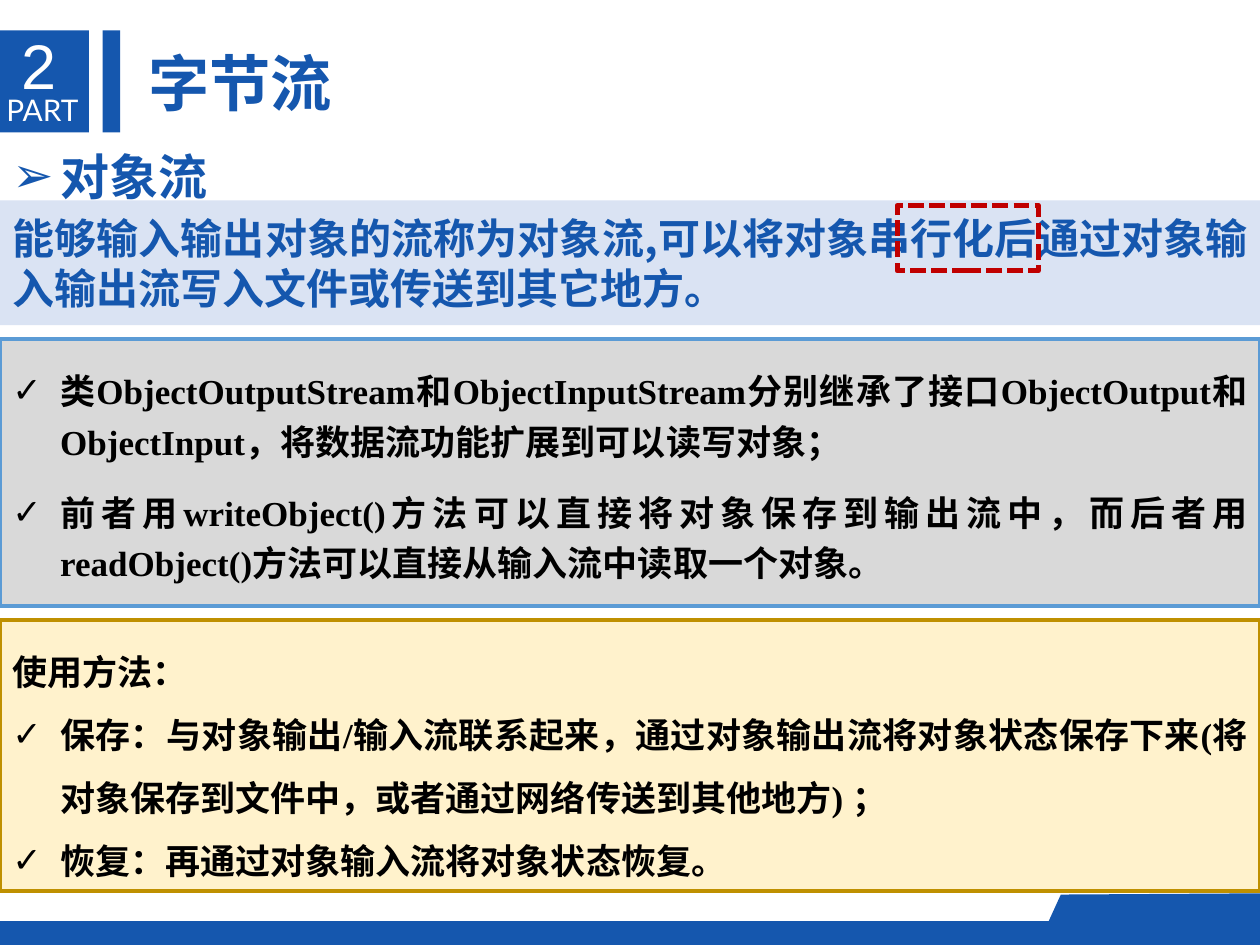
from lxml.etree import SubElement
from pptx import Presentation
from pptx.dml.color import RGBColor
from pptx.enum.dml import MSO_LINE
from pptx.enum.shapes import MSO_SHAPE as Preset
from pptx.enum.text import MSO_ANCHOR, MSO_AUTO_SIZE, PP_ALIGN
from pptx.oxml.ns import qn
from pptx.util import Inches, Pt

BLUE = RGBColor(0x15, 0x57, 0xAE)
WHITE = RGBColor(0xFF, 0xFF, 0xFF)
BLACK = RGBColor(0, 0, 0)
PALE_BLUE = RGBColor(0xDA, 0xE3, 0xF3)
GREY = RGBColor(0xD9, 0xD9, 0xD9)
SKY = RGBColor(0x5B, 0x9B, 0xD5)
CREAM = RGBColor(0xFF, 0xF2, 0xCC)
GOLD = RGBColor(0xBF, 0x90, 0x00)
RED = RGBColor(0xC0, 0, 0)

COLUMNS, ROWS = 100, 75
CELL = Inches(0.1)
HAN, SERIF = "Noto Sans CJK SC", "Times New Roman"


def cells(*counts):
    """Turn grid cell counts into lengths."""
    return [round(count * CELL) for count in counts]


def within(box, left, top, width, height):
    """Place a part by cells from the top left of its region."""
    return box[0] + left, box[1] + top, width, height


def add_panel(slide, box, fill=None, edge=None, weight=2.25, preset=Preset.RECTANGLE):
    """Draw a flat panel with an optional fill and outline."""
    panel = slide.shapes.add_shape(preset, *cells(*box))
    panel.shadow.inherit = False
    if preset == Preset.ROUNDED_RECTANGLE:
        panel.adjustments[0] = 0
    if fill is None:
        panel.fill.background()
    else:
        panel.fill.solid()
        panel.fill.fore_color.rgb = fill
    if edge is None:
        panel.line.fill.background()
    else:
        panel.line.color.rgb = edge
        panel.line.width = Pt(weight)
    return panel


def style(paragraph, size, color, latin=HAN, bold=True, spacing=None, bullet=None):
    """Format one paragraph, with a hanging bullet if one is given."""
    properties = paragraph._p.get_or_add_pPr()
    if spacing:
        paragraph.line_spacing = spacing
    if bullet:
        properties.set("marL", str(Inches(0.38)))
        properties.set("indent", str(-Inches(0.38)))
        SubElement(properties, qn("a:buFont"), typeface="Arial")
        SubElement(properties, qn("a:buChar"), char=bullet)
    for run in paragraph.runs:
        run.font.size = Pt(size)
        run.font.bold = bold
        run.font.color.rgb = color
        run.font.name = latin
        SubElement(run._r.get_or_add_rPr(), qn("a:ea"), typeface=HAN)


def add_label(slide, box, text, size, color, wrap=False, inset=None, **look):
    """Place a single line of text."""
    frame = slide.shapes.add_textbox(*cells(*box)).text_frame
    frame.word_wrap = wrap
    frame.auto_size = MSO_AUTO_SIZE.SHAPE_TO_FIT_TEXT
    if inset is not None:
        frame.margin_left = frame.margin_right = inset
        frame.margin_top = frame.margin_bottom = inset
    frame.text = text
    style(frame.paragraphs[0], size, color, **look)


def fill_panel(panel, texts):
    """Write justified paragraphs, centred vertically, and return them."""
    frame = panel.text_frame
    frame.word_wrap = True
    frame.vertical_anchor = MSO_ANCHOR.MIDDLE
    frame.text = "\n".join(texts)
    for paragraph in frame.paragraphs:
        paragraph.alignment = PP_ALIGN.JUSTIFY
    return frame.paragraphs


def add_header(slide, box, number, title):
    """Build the part badge, its side bar and the title."""
    height = box[3]
    add_panel(slide, within(box, 0, 0, 7.05, height), BLUE)
    add_panel(slide, within(box, 8.15, 0, 1.4, height), BLUE)
    add_label(slide, within(box, 0.5, 4.9, 6, 2.9), "PART", 17, WHITE,
              inset=0, latin="Lato", bold=False)
    add_label(slide, within(box, 0.7, -0.8, 5.3, 7.1), number, 36, WHITE,
              latin="Arial", bold=False)
    add_label(slide, within(box, 10.8, 0.7, 16.7, 6.9), title, 35, BLUE)


def add_footer(slide, box):
    """Build the bottom band and its slanted tab."""
    left, top, width, height = box
    right = left + width
    add_panel(slide, within(box, 0, 2.2, width, height - 2.2), BLUE)
    outline = slide.shapes.build_freeform(*cells(right, top), scale=1.0)
    corners = [(right - 15.8, top + 0.1), (right - 17.4, top + 3.6), (right, top + 3.6)]
    outline.add_line_segments([cells(*corner) for corner in corners], close=True)
    tab = outline.convert_to_shape()
    tab.shadow.inherit = False
    tab.fill.solid()
    tab.fill.fore_color.rgb = BLUE
    tab.line.fill.background()


def add_definition(slide, box, text):
    """Build the definition band."""
    for paragraph in fill_panel(add_panel(slide, box, PALE_BLUE), [text]):
        style(paragraph, 24, BLUE)


def add_term_frame(slide, box):
    """Frame the key term with dashes."""
    frame = add_panel(slide, box, edge=RED, weight=3)
    frame.line.dash_style = MSO_LINE.SQUARE_DOT


def add_classes(slide, box, points):
    """Build the panel on the two stream classes."""
    panel = add_panel(slide, box, GREY, SKY, preset=Preset.ROUNDED_RECTANGLE)
    for index, paragraph in enumerate(fill_panel(panel, points)):
        if index:
            paragraph.space_before = Pt(12)
        style(paragraph, 20, BLACK, SERIF, spacing=1.2, bullet="✓")


def add_usage(slide, box, heading, steps):
    """Build the usage panel with a heading and ticked steps."""
    panel = add_panel(slide, box, CREAM, GOLD, preset=Preset.ROUNDED_RECTANGLE)
    first, *rest = fill_panel(panel, [heading, *steps])
    style(first, 20, BLACK, spacing=1.5)
    for paragraph in rest:
        style(paragraph, 20, BLACK, SERIF, spacing=1.5, bullet="✓")


def main():
    """Build and save the slide."""
    deck = Presentation()
    deck.slide_width, deck.slide_height = cells(COLUMNS, ROWS)
    slide = deck.slides.add_slide(deck.slide_layouts[6])
    add_footer(slide, (0, 70.9, COLUMNS, 4.1))
    add_header(slide, (0, 2.4, COLUMNS, 8.1), "2", "字节流")
    add_label(slide, (0, 10.2, COLUMNS, 5.9), "对象流", 28, BLUE,
              wrap=True, spacing=1.2, bullet="➢")
    add_classes(slide, (0, 26.9, COLUMNS, 21.2), [
        "类ObjectOutputStream和ObjectInputStream分别继承了接口ObjectOutput"
        "和ObjectInput，将数据流功能扩展到可以读写对象；",
        "前者用writeObject()方法可以直接将对象保存到输出流中，"
        "而后者用readObject()方法可以直接从输入流中读取一个对象。",
    ])
    add_definition(slide, (0, 15.9, COLUMNS, 9.9),
                   "能够输入输出对象的流称为对象流,可以将对象串行化后通过对象"
                   "输入输出流写入文件或传送到其它地方。")
    add_usage(slide, (0, 49.2, COLUMNS, 21.5), "使用方法：", [
        "保存：与对象输出/输入流联系起来，通过对象输出流将对象状态保存下来"
        "(将对象保存到文件中，或者通过网络传送到其他地方) ；",
        "恢复：再通过对象输入流将对象状态恢复。",
    ])
    add_term_frame(slide, (71.2, 16.3, 11.2, 5.2))
    deck.save("out.pptx")


if __name__ == "__main__":
    main()
